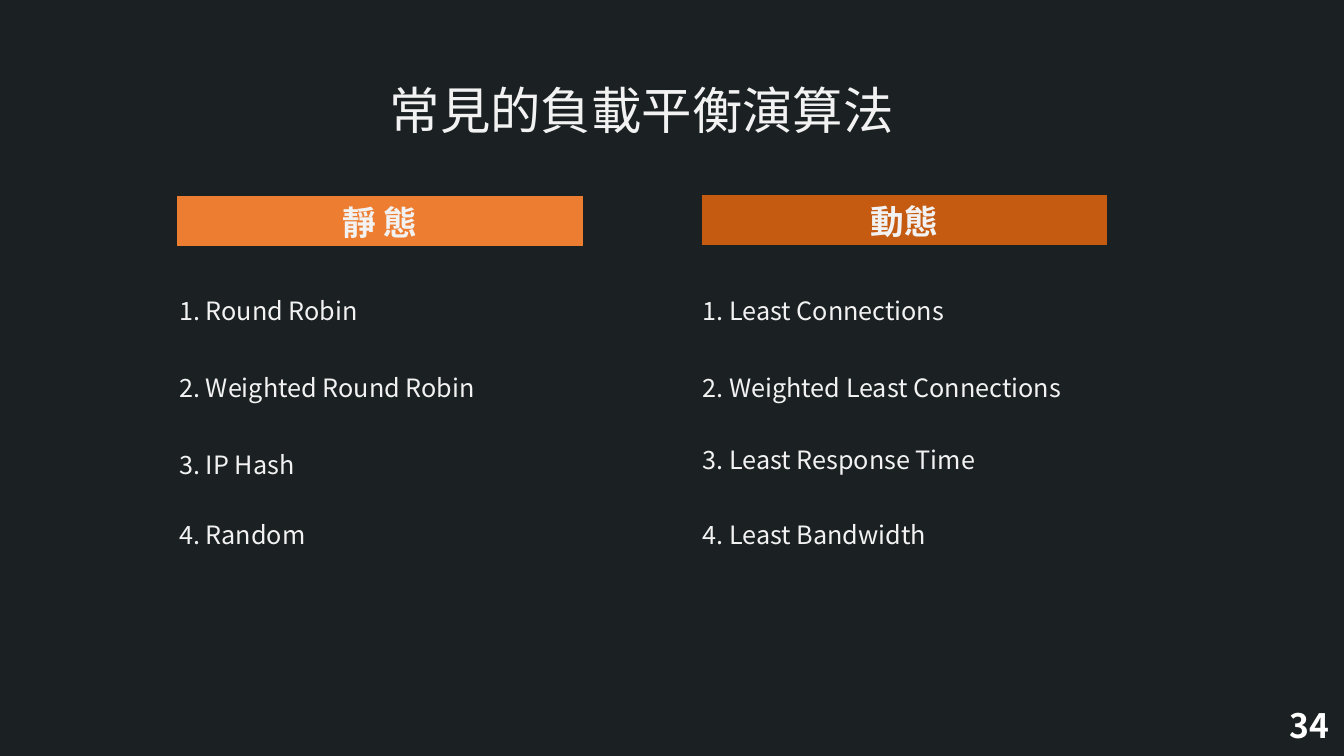
from pptx import Presentation
from pptx.dml.color import RGBColor
from pptx.enum.text import MSO_ANCHOR, MSO_AUTO_SIZE, PP_ALIGN
from pptx.oxml.ns import qn
from pptx.util import Inches, Pt
from lxml.etree import SubElement

COLORS = {
    "background": "1B2022",
    "text": "F2F2F2",
    "page": "FFFFFF",
    "static": "ED7D31",
    "dynamic": "C55A11",
}
FONT = "Noto Sans CJK SC"
CELL = 0.5  # side of a grid cell in inches


def grid(*cells):
    return [Inches(cell * CELL) for cell in cells]


class AlgorithmSlide:
    def __init__(self, presentation):
        self.slide = presentation.slides.add_slide(presentation.slide_layouts[6])
        self.fill(self.slide.background.fill, "background")

    def fill(self, target, color):
        target.solid()
        target.fore_color.rgb = RGBColor.from_string(COLORS[color])

    def set_text(self, text_frame, text, size, color="text", bold=False, align=PP_ALIGN.LEFT):
        paragraph = text_frame.paragraphs[0]
        paragraph.text = text
        paragraph.alignment = align
        font = paragraph.font
        font.name, font.size, font.bold = FONT, Pt(size), bold
        font.color.rgb = RGBColor.from_string(COLORS[color])
        # Chinese glyphs take the East Asian typeface
        properties = paragraph._p.pPr.find(qn("a:defRPr"))
        SubElement(properties, qn("a:ea"), typeface=FONT)

    def text(self, text, column, row, width, height, size, **style):
        box = self.slide.shapes.add_textbox(*grid(column, row, width, height))
        text_frame = box.text_frame
        text_frame.word_wrap = True
        text_frame.auto_size = MSO_AUTO_SIZE.SHAPE_TO_FIT_TEXT
        self.set_text(text_frame, text, size, **style)

    def header(self, text, column, row, color):
        frame = self.slide.shapes.add_table(1, 1, *grid(column, row, 8.04, 1))
        table = frame.table
        table.first_row = table.horz_banding = False
        cell = table.cell(0, 0)
        cell.margin_top = cell.margin_bottom = Inches(0.01)
        cell.vertical_anchor = MSO_ANCHOR.MIDDLE
        # Borderless cell
        properties = cell._tc.get_or_add_tcPr()
        for side in ("lnL", "lnR", "lnT", "lnB"):
            line = SubElement(properties, qn(f"a:{side}"), w="0")
            SubElement(line, qn("a:noFill"))
        self.fill(cell.fill, color)
        self.set_text(cell.text_frame, text, 24, bold=True, align=PP_ALIGN.CENTER)

    def numbered(self, column, items):
        for number, (name, row, width) in enumerate(items, 1):
            self.text(f"{number}. {name}", column, row, width, 0.8, 18)


def main():
    presentation = Presentation()
    presentation.slide_width = Inches(13.33)
    presentation.slide_height = Inches(7.5)
    page = AlgorithmSlide(presentation)

    # Title
    page.text("常見的負載平衡演算法", 7.52, 1.48, 10.42, 1.42, 36, align=PP_ALIGN.CENTER)

    # Static algorithms: name, row, width
    page.header("靜 態", 3.52, 3.88, "static")
    page.numbered(3.36, [
        ("Round Robin", 5.76, 5.72),
        ("Weighted Round Robin", 7.28, 9.02),
        ("IP Hash", 8.82, 4.48),
        ("Random", 10.2, 4.48),
    ])

    # Dynamic algorithms
    page.header("動態", 13.92, 3.86, "dynamic")
    page.numbered(13.74, [
        ("Least Connections", 5.76, 13.36),
        ("Weighted Least Connections", 7.28, 13.56),
        ("Least Response Time", 8.72, 9.7),
        ("Least Bandwidth", 10.2, 13.86),
    ])

    # Page number
    page.text("34", 25.38, 13.88, 1.2, 1, 24, color="page", bold=True)

    presentation.save("out.pptx")


if __name__ == "__main__":
    main()
